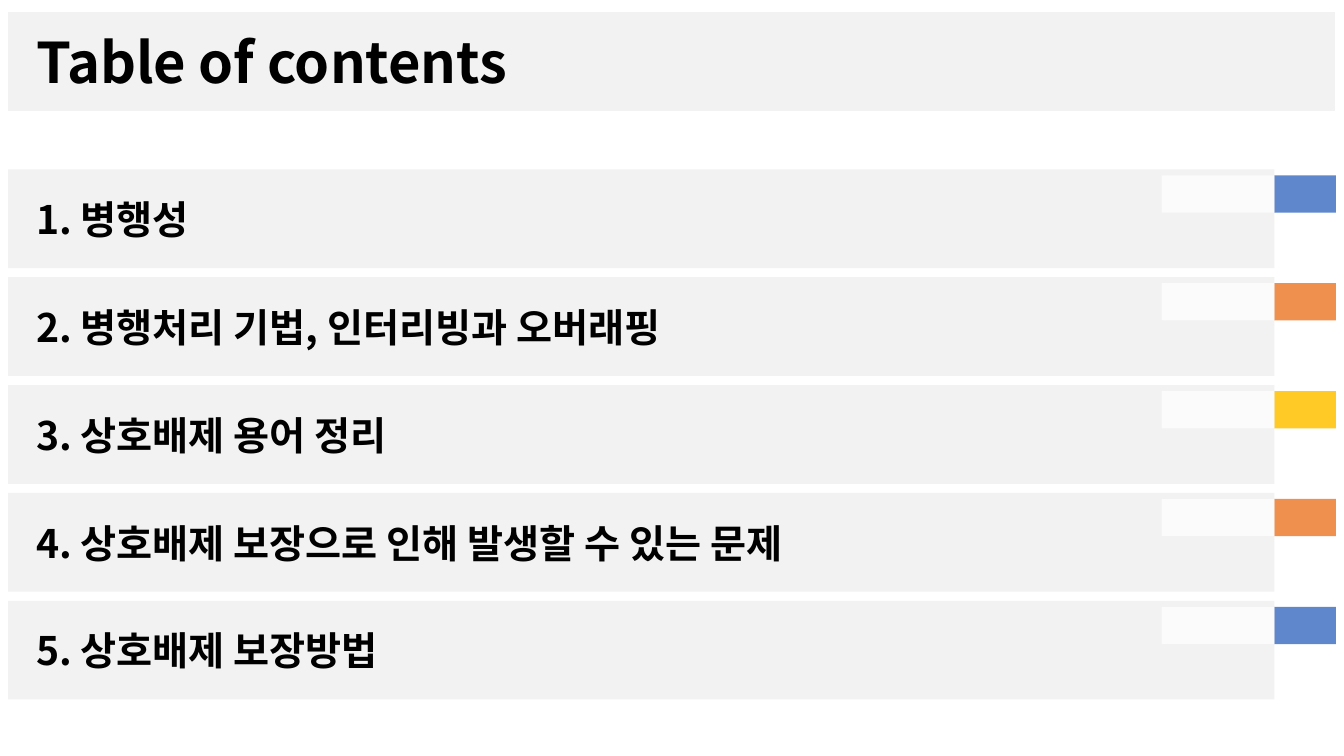
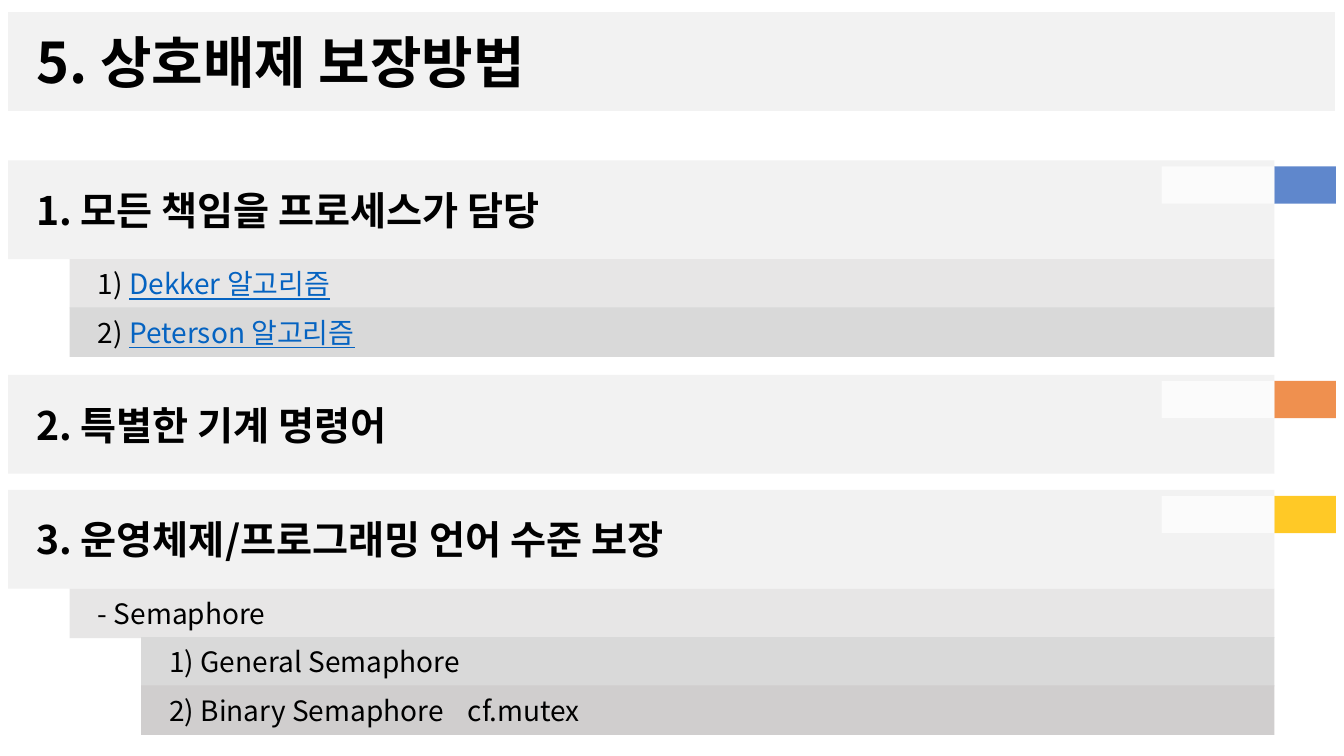
from lxml.etree import SubElement
from pptx import Presentation
from pptx.dml.color import RGBColor
from pptx.enum.shapes import MSO_SHAPE
from pptx.enum.text import MSO_ANCHOR, MSO_AUTO_SIZE, PP_ALIGN
from pptx.oxml.ns import qn
from pptx.util import Inches, Pt

FONT = "Noto Sans CJK KR"
BLACK = RGBColor(0x00, 0x00, 0x00)
WHITE = RGBColor(0xFF, 0xFF, 0xFF)
BAND = RGBColor(0xF2, 0xF2, 0xF2)
BLUE = RGBColor(0x44, 0x72, 0xC4)
ORANGE = RGBColor(0xED, 0x7D, 0x31)
GOLD = RGBColor(0xFF, 0xC0, 0x00)
LINK = RGBColor(0x05, 0x63, 0xC1)
LIGHT = RGBColor(0xE7, 0xE6, 0xE6)
MID = RGBColor(0xD9, 0xD9, 0xD9)
DARK = RGBColor(0xD0, 0xCE, 0xCE)

FRAME = {
    "margin_left": Inches(0.28), "margin_right": Inches(0.1),
    "margin_top": Inches(0.05), "margin_bottom": Inches(0.05),
    "vertical_anchor": MSO_ANCHOR.MIDDLE, "word_wrap": True,
    "auto_size": MSO_AUTO_SIZE.NONE,
}
TITLE = {"name": FONT, "size": Pt(40), "bold": True}
HEAD = {"name": FONT, "size": Pt(28), "bold": True}
ITEM = {"name": FONT, "size": Pt(20), "bold": False}

LEFT, EDGE = 0.08, 12.64
BAND_H, ROW_H, ROW_STEP = 0.98, 0.49, 0.48
INDENTS = (0.69, 1.4)
TAB_STOP = 2.96

TOPICS = [
    ("1. 병행성", BLUE),
    ("2. 병행처리 기법, 인터리빙과 오버래핑", ORANGE),
    ("3. 상호배제 용어 정리", GOLD),
    ("4. 상호배제 보장으로 인해 발생할 수 있는 문제", ORANGE),
    ("5. 상호배제 보장방법", BLUE),
]
# Each row: indent level, fill, plain text, linked text
METHODS = [
    (1.59, "1. 모든 책임을 프로세스가 담당", BLUE, [
        (0, LIGHT, "1) ", "Dekker 알고리즘"),
        (0, MID, "2) ", "Peterson 알고리즘"),
    ]),
    (3.72, "2. 특별한 기계 명령어", ORANGE, []),
    (4.86, "3. 운영체제/프로그래밍 언어 수준 보장", GOLD, [
        (0, LIGHT, "- Semaphore", ""),
        (1, MID, "1) General Semaphore", ""),
        (1, DARK, "2) Binary Semaphore\tcf.mutex", ""),
    ]),
]


def apply(target, values):
    for key, value in values.items():
        setattr(target, key, value)


def paint(shape, color, alpha=100):
    """Fill a shape with a colour at an opacity in percent."""
    shape.fill.solid()
    shape.fill.fore_color.rgb = color
    if alpha < 100:
        tint = shape.fill._xPr.find(qn("a:solidFill"))[0]
        SubElement(tint, qn("a:alpha"), val=str(alpha * 1000))


def add_run(para, text, style, color=BLACK, line=False):
    run = para.add_run()
    run.text = text
    apply(run.font, style)
    run.font.color.rgb = color
    if line:
        run.font.underline = True
    # Korean glyphs take the East Asian typeface
    SubElement(run._r.get_or_add_rPr(), qn("a:ea"), typeface=FONT)


def write(shape, text, style, link=""):
    frame = shape.text_frame
    apply(frame, FRAME)
    para = frame.paragraphs[0]
    para.alignment = PP_ALIGN.LEFT
    if "\t" in text:
        stops = SubElement(para._p.get_or_add_pPr(), qn("a:tabLst"))
        SubElement(stops, qn("a:tab"), pos=str(Inches(TAB_STOP)), algn="l")
    add_run(para, text, style)
    if link:
        add_run(para, link, style, LINK, True)


def add_box(shapes, left, top, width, height, color, alpha=100):
    box = shapes.add_shape(MSO_SHAPE.RECTANGLE, Inches(left), Inches(top),
                           Inches(width), Inches(height))
    box.shadow.inherit = False
    box.line.fill.background()
    paint(box, color, alpha)
    return box


def add_page(deck, text):
    page = deck.slides.add_slide(deck.slide_layouts[5])
    title = page.shapes.title
    apply(title, {"left": Inches(LEFT), "top": Inches(0.12),
                  "width": Inches(13.16), "height": Inches(BAND_H)})
    paint(title, BAND)
    write(title, text, TITLE)
    return page


def add_band(page, top, text, color):
    """Add a heading band with its coloured marker."""
    band = add_box(page.shapes, LEFT, top, EDGE - LEFT, BAND_H, BAND)
    write(band, text, HEAD)
    mark = page.shapes.add_group_shape().shapes
    add_box(mark, EDGE, top + 0.06, 0.61, 0.37, color, 85)
    add_box(mark, EDGE - 1.12, top + 0.06, 1.12, 0.37, WHITE, 70)


def add_rows(page, top, rows):
    for index, (level, color, text, link) in enumerate(rows):
        left = INDENTS[level]
        row = add_box(page.shapes, left, top + index * ROW_STEP,
                      EDGE - left, ROW_H, color)
        write(row, text, ITEM, link)


def main():
    deck = Presentation()
    deck.slide_width, deck.slide_height = Inches(13.33), Inches(7.5)

    page = add_page(deck, "Table of contents")
    for index, (text, color) in enumerate(TOPICS):
        add_band(page, 1.68 + index * 1.07, text, color)

    page = add_page(deck, TOPICS[-1][0])
    for top, text, color, rows in METHODS:
        add_band(page, top, text, color)
        add_rows(page, top + BAND_H, rows)

    deck.save("out.pptx")


if __name__ == "__main__":
    main()
